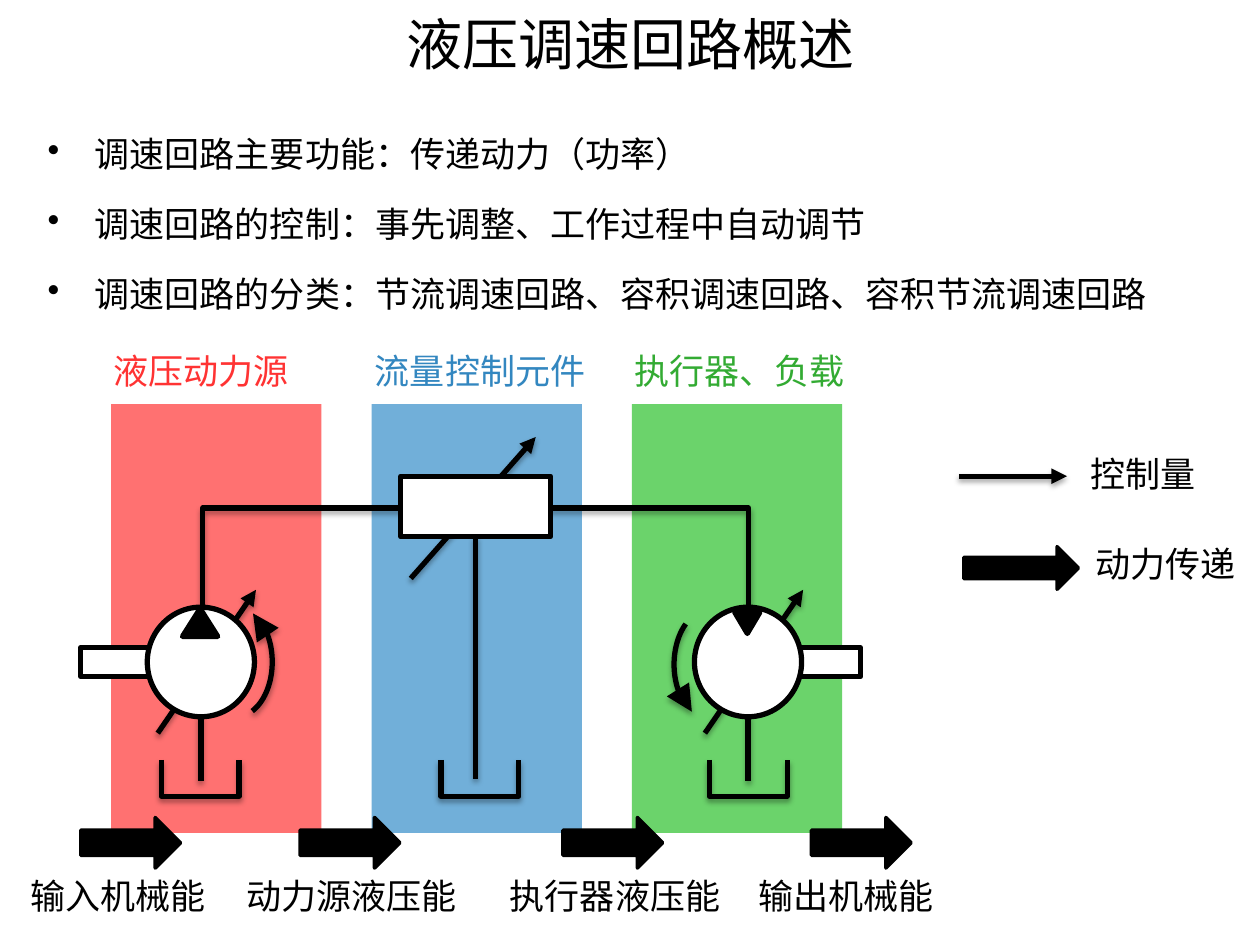
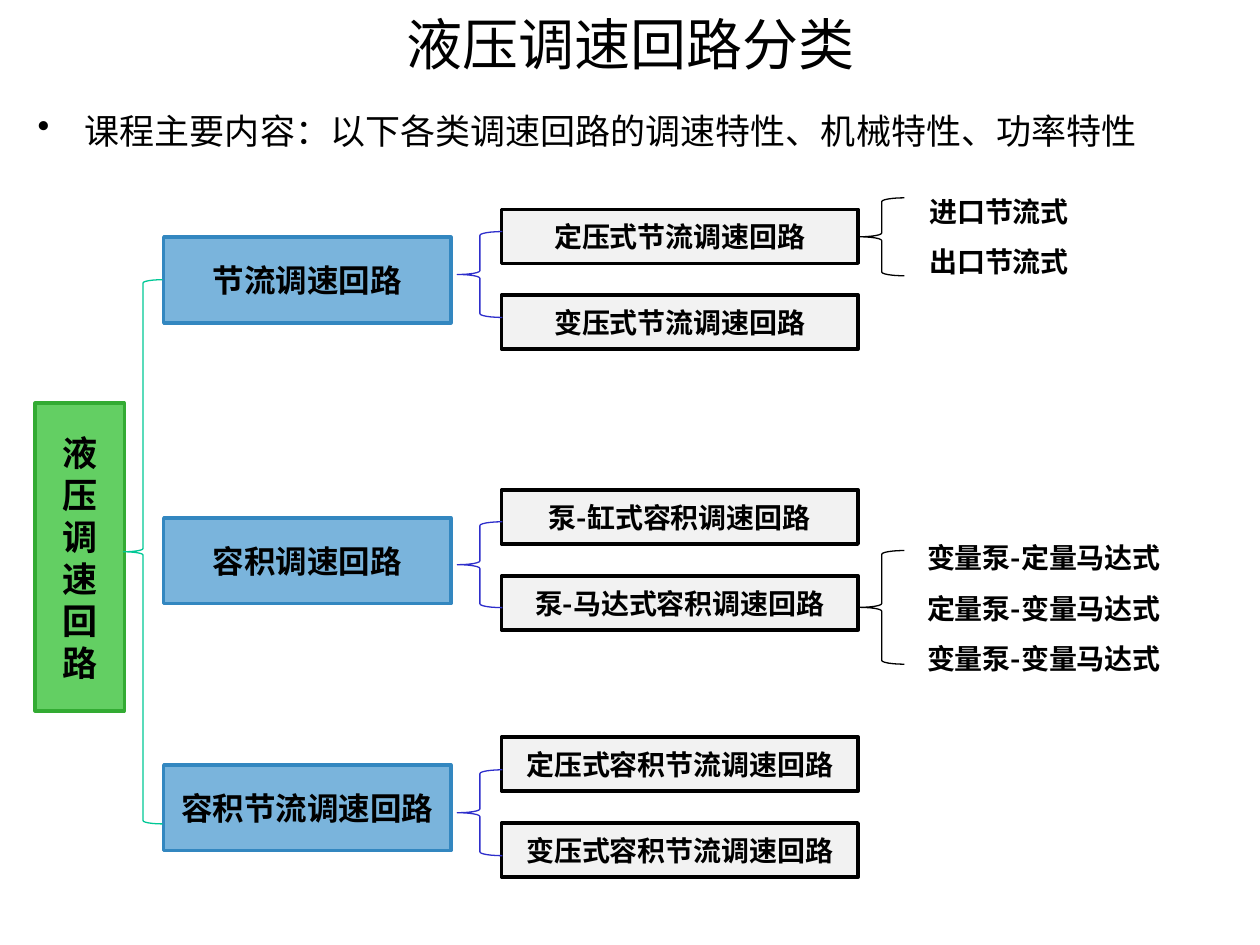
from dataclasses import dataclass

from lxml import etree
from pptx import Presentation
from pptx.dml.color import RGBColor
from pptx.enum.shapes import MSO_CONNECTOR, MSO_SHAPE
from pptx.enum.text import MSO_ANCHOR, PP_ALIGN
from pptx.oxml.ns import qn
from pptx.util import Cm, Pt

STRAIGHT = MSO_CONNECTOR.STRAIGHT
RECTANGLE, OVAL = MSO_SHAPE.RECTANGLE, MSO_SHAPE.OVAL
TRIANGLE, ARC = MSO_SHAPE.ISOSCELES_TRIANGLE, MSO_SHAPE.ARC
RIGHT_ARROW, LEFT_BRACE = MSO_SHAPE.RIGHT_ARROW, MSO_SHAPE.LEFT_BRACE
LEFT, CENTER = PP_ALIGN.LEFT, PP_ALIGN.CENTER
TOP, MIDDLE = MSO_ANCHOR.TOP, MSO_ANCHOR.MIDDLE


@dataclass(frozen=True)
class Theme:
    font: str = "Noto Sans CJK SC"
    black: str = "000000"
    white: str = "FFFFFF"
    red: str = "FF3333"
    blue: str = "3387C0"
    green: str = "33AB33"
    red_zone: str = "FF7171"
    blue_zone: str = "71AFD9"
    green_zone: str = "6BD36B"
    root_fill: str = "63CF63"
    branch_fill: str = "7AB4DC"
    circuit_fill: str = "F2F2F2"
    root_brace: str = "00C896"
    branch_brace: str = "2E2ECB"
    title_size: int = 32
    body_size: int = 20
    branch_size: int = 18
    circuit_size: int = 16


theme = Theme()


def write_text(shape, *lines, size=theme.body_size, color=theme.black, bold=False,
               align=LEFT, anchor=TOP, spacing=None, gap=0, bullet=False, wrap=True):
    """Write one paragraph per line; gap is the space between paragraphs in points."""
    frame = shape.text_frame
    frame.word_wrap = wrap
    frame.vertical_anchor = anchor
    for index, line in enumerate(lines):
        paragraph = frame.add_paragraph() if index else frame.paragraphs[0]
        paragraph.alignment = align
        if spacing:
            paragraph.line_spacing = spacing
        if index and gap:
            paragraph.space_before = Pt(gap)
        if bullet:
            properties = paragraph._p.get_or_add_pPr()
            properties.set("marL", str(Cm(0.95)))
            properties.set("indent", str(-Cm(0.95)))
            etree.SubElement(properties, qn("a:buChar"), char="•")
        run = paragraph.add_run()
        run.text = line
        run.font.name = theme.font
        run.font.size = Pt(size)
        run.font.bold = bold
        run.font.color.rgb = RGBColor.from_string(color)
        etree.SubElement(run._r.get_or_add_rPr(), qn("a:ea"), typeface=theme.font)


def style_shape(shape, fill=None, line=theme.black, width=3, head=None, tail=None, shadow=False):
    """Set fill, outline and shadow; head and tail are arrowhead sizes (med, lg)."""
    if fill:
        shape.fill.solid()
        shape.fill.fore_color.rgb = RGBColor.from_string(fill)
    elif hasattr(shape, "fill"):
        shape.fill.background()
    if line:
        shape.line.color.rgb = RGBColor.from_string(line)
        shape.line.width = Pt(width)
    else:
        shape.line.fill.background()
    for tag, size in (("a:headEnd", head), ("a:tailEnd", tail)):
        if size:
            etree.SubElement(shape.line._get_or_add_ln(), qn(tag),
                             type="triangle", w=size, len=size)
    effects = etree.SubElement(shape._element.spPr, qn("a:effectLst"))
    if shadow:
        outer = etree.SubElement(effects, qn("a:outerShdw"), blurRad=str(Pt(3.1)),
                                 dist=str(Pt(1.8)), dir="5400000", rotWithShape="0")
        black = etree.SubElement(outer, qn("a:srgbClr"), val=theme.black)
        etree.SubElement(black, qn("a:alpha"), val="35000")


presentation = Presentation()
presentation.slide_width, presentation.slide_height = Cm(25.4), Cm(19.05)
slides = []
for title in ("液压调速回路概述", "液压调速回路分类"):
    slide = presentation.slides.add_slide(presentation.slide_layouts[6])
    title_box = slide.shapes.add_textbox(Cm(3.71), 0, Cm(18), Cm(1.73))
    write_text(title_box, title, size=theme.title_size, align=CENTER, anchor=MIDDLE)
    slides.append(slide)
overview, classification = (slide.shapes for slide in slides)

# Overview: key points
points = overview.add_textbox(Cm(0.71), Cm(2.13), Cm(24), Cm(4.8))
write_text(points, "调速回路主要功能：传递动力（功率）",
           "调速回路的控制：事先调整、工作过程中自动调节",
           "调速回路的分类：节流调速回路、容积调速回路、容积节流调速回路",
           spacing=1.5, gap=4, bullet=True)

# Overview: coloured zones with captions
zones = [
    ("液压动力源", theme.red, theme.red_zone, 2.03, 4.67, LEFT),
    ("流量控制元件", theme.blue, theme.blue_zone, 6.99, 5.38, CENTER),
    ("执行器、负载", theme.green, theme.green_zone, 12.29, 5.23, CENTER),
]
for index, (name, color, zone_fill, left, width, align) in enumerate(zones):
    zone = overview.add_shape(RECTANGLE, Cm(2.24 + 5.25 * index), Cm(8.15), Cm(4.24), Cm(8.64))
    style_shape(zone, zone_fill, line=None)
    caption = overview.add_textbox(Cm(left), Cm(6.93), Cm(width), Cm(1.12))
    write_text(caption, name, color=color, align=align)

# Overview: pump and motor
machines = [
    # centre, shaft left, triangle box, triangle rotation, arc left, arc top, arc angles
    (4.05, 1.63, (3.68, 12.27, 0.71, 0.56), 0, 4.04, 12.24, (289, 72)),
    (15.08, 15.9, (14.81, 12.34, 0.51, 0.43), 180, 13.59, 12.29, (111, 239)),
]
for center, shaft_left, triangle_box, rotation, arc_left, arc_top, angles in machines:
    control = overview.add_connector(STRAIGHT, Cm(center - 0.87), Cm(14.78),
                                     Cm(center + 1.11), Cm(11.89))
    style_shape(control, tail="med", shadow=True)
    shaft = overview.add_shape(RECTANGLE, Cm(shaft_left), Cm(13.06), Cm(1.45), Cm(0.58))
    style_shape(shaft, theme.white)
    body = overview.add_shape(OVAL, Cm(center - 1.08), Cm(12.24), Cm(2.16), Cm(2.21))
    style_shape(body, theme.white)
    triangle = overview.add_shape(TRIANGLE, *map(Cm, triangle_box))
    triangle.rotation = rotation
    style_shape(triangle, theme.black)
    turning = overview.add_shape(ARC, Cm(arc_left), Cm(arc_top), Cm(1.45), Cm(2.21))
    for index, angle in enumerate(angles):
        turning.adjustments[index] = angle * 0.6  # 60000 units per degree, scaled by 100000
    style_shape(turning, head="lg", shadow=True)
    drain = overview.add_connector(STRAIGHT, Cm(center), Cm(14.43), Cm(center), Cm(15.75))
    style_shape(drain, shadow=True)

# Overview: tanks and pressure line
outlines = [[(left, 15.32), (left, 16.05), (left + 1.57, 16.05), (left + 1.57, 15.32)]
            for left in (3.25, 8.89, 14.3)]
outlines.append([(4.09, 12.24), (4.09, 10.24), (15.09, 10.24), (15.09, 12.29)])
for outline in outlines:
    start, *corners = [(Cm(x), Cm(y)) for x, y in outline]
    builder = overview.build_freeform(*start)
    builder.add_line_segments(corners, close=False)
    style_shape(builder.convert_to_shape(), shadow=True)

# Overview: flow control valve
valve_control = overview.add_connector(STRAIGHT, Cm(8.28), Cm(11.66), Cm(10.8), Cm(8.81))
style_shape(valve_control, tail="med", shadow=True)
valve = overview.add_shape(RECTANGLE, Cm(8.08), Cm(9.6), Cm(3.02), Cm(1.22))
style_shape(valve, theme.white)
return_line = overview.add_connector(STRAIGHT, Cm(9.59), Cm(10.82), Cm(9.59), Cm(15.7))
return_line.begin_connect(valve, 2)
style_shape(return_line, shadow=True)

# Overview: energy flow and legend
control_key = overview.add_connector(STRAIGHT, Cm(19.33), Cm(9.6), Cm(21.51), Cm(9.6))
style_shape(control_key, tail="med", shadow=True)
power_arrows = [(left, 16.48, 2.01, 1.02) for left in (1.63, 6.05, 11.35, 16.36)]
power_arrows.append((19.43, 11.02, 2.31, 0.86))
for box in power_arrows:
    arrow = overview.add_shape(RIGHT_ARROW, *map(Cm, box))
    style_shape(arrow, theme.black, width=2)
labels = [
    ("输入机械能", 0.36, 17.5, 4.06),
    ("动力源液压能", 4.72, 17.5, 4.78),
    ("执行器液压能", 10.03, 17.5, 4.78),
    ("输出机械能", 15.04, 17.5, 4.06),
    ("控制量", 21.74, 8.99, 2.64),
    ("动力传递", 21.84, 10.82, 3.35),
]
for text, left, top, width in labels:
    label = overview.add_textbox(Cm(left), Cm(top), Cm(width), Cm(1.12))
    write_text(label, text, wrap=False)

# Classification: topic and root
topic = classification.add_textbox(Cm(0.51), Cm(2.08), Cm(24), Cm(1.12))
write_text(topic, "课程主要内容：以下各类调速回路的调速特性、机械特性、功率特性", bullet=True)
root = classification.add_shape(RECTANGLE, Cm(0.71), Cm(8.13), Cm(1.8), Cm(6.2))
style_shape(root, theme.root_fill, theme.green, 2)
write_text(root, "液压调速回路", bold=True, align=CENTER, anchor=MIDDLE)

# Classification: branches and their circuits
branches = [
    ("节流调速回路", 4.78, ("定压式节流调速回路", "变压式节流调速回路")),
    ("容积调速回路", 10.44, ("泵-缸式容积调速回路", "泵-马达式容积调速回路")),
    ("容积节流调速回路", 15.42, ("定压式容积节流调速回路", "变压式容积节流调速回路")),
]
for name, top, circuits in branches:
    branch = classification.add_shape(RECTANGLE, Cm(3.3), Cm(top), Cm(5.79), Cm(1.73))
    style_shape(branch, theme.branch_fill, theme.blue, 2)
    write_text(branch, name, size=theme.branch_size, bold=True, align=CENTER, anchor=MIDDLE)
    for index, circuit_name in enumerate(circuits):
        circuit = classification.add_shape(RECTANGLE, Cm(10.11), Cm(top - 0.56 + 1.73 * index),
                                           Cm(7.19), Cm(1.09))
        style_shape(circuit, theme.circuit_fill, width=2)
        write_text(circuit, circuit_name, size=theme.circuit_size, bold=True,
                   align=CENTER, anchor=MIDDLE)

# Classification: braces
braces = [((2.49, 5.64, 0.79, 10.97), theme.root_brace)]
braces += [((9.22, top, 0.91, 1.73), theme.branch_brace) for top in (4.67, 10.52, 15.52)]
braces += [((17.32, top, 0.91, height), theme.black) for top, height in ((3.99, 1.57), (11.1, 2.29))]
for box, color in braces:
    brace = classification.add_shape(LEFT_BRACE, *map(Cm, box))
    style_shape(brace, line=color, width=0.75)

# Classification: variants
variants = [
    ((17.78, 3.33, 4.72, 2.54), ("进口节流式", "出口节流式")),
    ((17.78, 10.13, 6.53, 3.91), ("变量泵-定量马达式", "定量泵-变量马达式", "变量泵-变量马达式")),
]
for box, names in variants:
    variant_list = classification.add_textbox(*map(Cm, box))
    write_text(variant_list, *names, size=theme.circuit_size, bold=True,
               align=CENTER, anchor=MIDDLE, spacing=1.5)

presentation.save("out.pptx")
